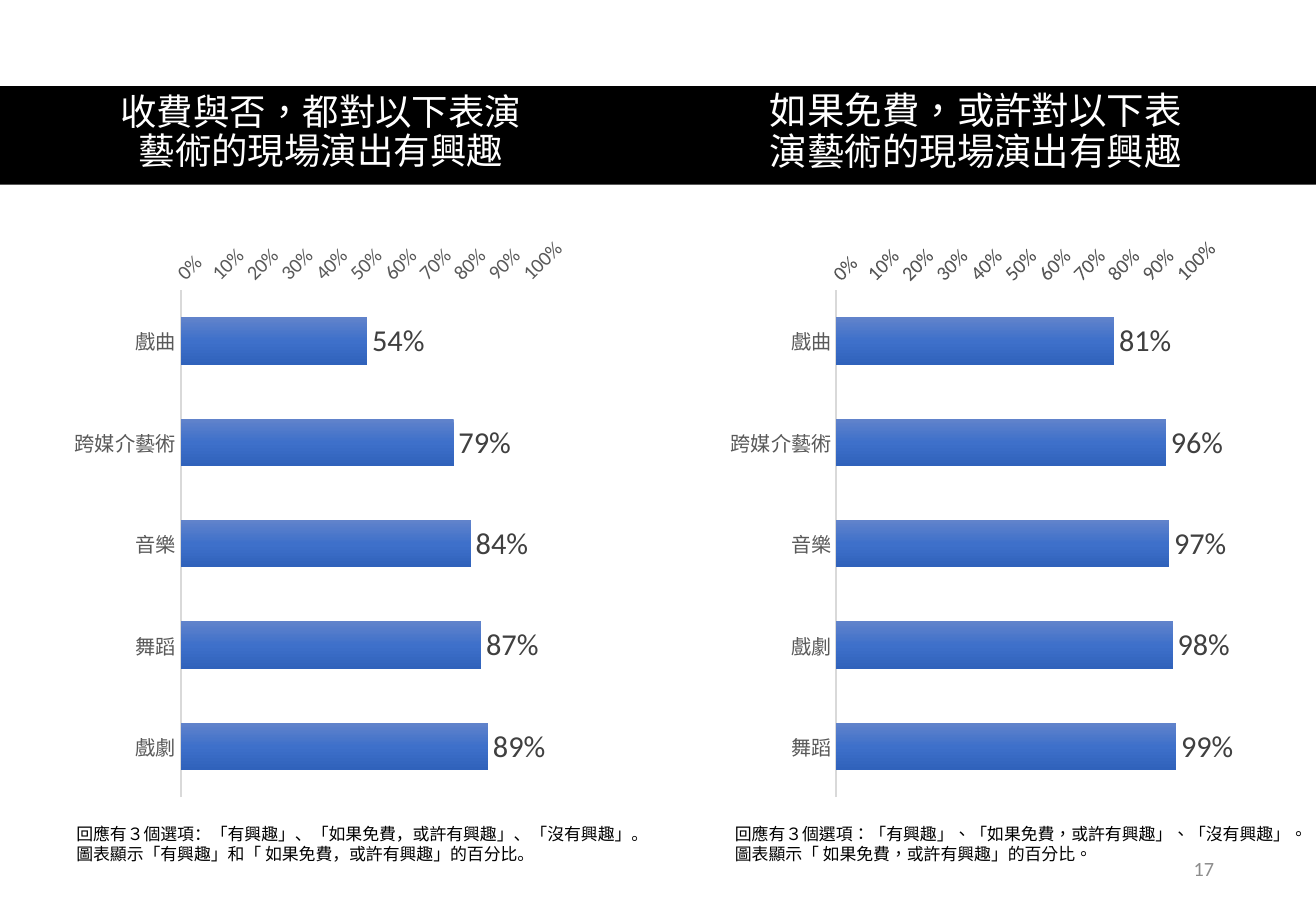
from copy import deepcopy

from lxml import etree
from pptx import Presentation
from pptx.chart.data import CategoryChartData
from pptx.dml.color import RGBColor
from pptx.enum.chart import XL_CHART_TYPE as ChartType
from pptx.enum.chart import XL_LABEL_POSITION as LabelPosition
from pptx.enum.chart import XL_TICK_MARK as TickMark
from pptx.enum.lang import MSO_LANGUAGE_ID as Language
from pptx.enum.shapes import MSO_SHAPE as Shape
from pptx.enum.text import MSO_ANCHOR as Anchor
from pptx.enum.text import PP_ALIGN as Align
from pptx.oxml.ns import qn
from pptx.util import Inches, Pt

BLACK = RGBColor(0x00, 0x00, 0x00)
WHITE = RGBColor(0xFF, 0xFF, 0xFF)
AXIS_TEXT = RGBColor(0x59, 0x59, 0x59)
AXIS_LINE = RGBColor(0xD9, 0xD9, 0xD9)
VALUE_TEXT = RGBColor(0x40, 0x40, 0x40)
NUMBER_GRAY = RGBColor(0x8C, 0x8C, 0x8C)
BAR_STOPS = [
    (0, RGBColor(0x61, 0x83, 0xCB)),
    (0.5, RGBColor(0x3E, 0x70, 0xCA)),
    (1, RGBColor(0x30, 0x62, 0xBB)),
]


def style_font(font, size, color, name="Calibri"):
    font.size = Pt(size)
    font.name = name
    font.color.rgb = color


def add_text(lines, left, top, width, height, size, color=BLACK, name="Calibri",
             align=Align.LEFT, anchor=Anchor.TOP, wrap=True, spacing=None,
             language=Language.TRADITIONAL_CHINESE):
    box = slide.shapes.add_textbox(Inches(left), Inches(top), Inches(width), Inches(height))
    frame = box.text_frame
    frame.word_wrap = wrap
    frame.vertical_anchor = anchor
    frame.text = "\n".join(lines)
    for paragraph in frame.paragraphs:
        paragraph.alignment = align
        paragraph.line_spacing = spacing
        for run in paragraph.runs:
            style_font(run.font, size, color, name)
            run.font.language_id = language
            if name.startswith("Noto"):
                etree.SubElement(run.font._element, qn("a:ea")).set("typeface", name)


presentation = Presentation()
presentation.slide_width = Inches(10.83)
presentation.slide_height = Inches(7.5)
slide = presentation.slides.add_slide(presentation.slide_layouts[6])

# Title band
band = slide.shapes.add_shape(Shape.RECTANGLE, 0, Inches(0.71), Inches(10.83), Inches(0.81))
band.shadow.inherit = False
band.fill.solid()
band.fill.fore_color.rgb = BLACK
band.line.fill.background()

# Headings
for heading, left, size in [
    ("收費與否，都對以下表演藝術的現場演出有興趣", 0.78, 21.6),
    ("如果免費，或許對以下表演藝術的現場演出有興趣", 6.17, 22.2),
]:
    add_text([heading], left, 0.69, 3.72, 0.81, size, WHITE, "Lato",
             Align.CENTER, Anchor.MIDDLE, spacing=0.9)

# Bar charts
for left, categories, values in [
    (0.53, ["戲曲", "跨媒介藝術", "音樂", "舞蹈", "戲劇"], [0.54, 0.79, 0.84, 0.87, 0.89]),
    (5.93, ["戲曲", "跨媒介藝術", "音樂", "戲劇", "舞蹈"], [0.81, 0.96, 0.97, 0.98, 0.99]),
]:
    data = CategoryChartData(number_format="0%")
    data.categories = categories
    data.add_series("Series 1", values)
    chart = slide.shapes.add_chart(ChartType.BAR_CLUSTERED, Inches(left), Inches(1.85),
                                   Inches(4.22), Inches(4.81), data).chart
    chart.has_legend = False
    chart.has_title = False
    style_font(chart.font, 10, BLACK)

    # Axes
    for axis in (chart.category_axis, chart.value_axis):
        axis.major_tick_mark = axis.minor_tick_mark = TickMark.NONE
        axis.has_major_gridlines = False
        style_font(axis.tick_labels.font, 12, AXIS_TEXT)
    chart.category_axis.reverse_order = True
    chart.category_axis.format.line.color.rgb = AXIS_LINE
    chart.category_axis.format.line.width = Pt(1)
    value_axis = chart.value_axis
    value_axis.minimum_scale = 0
    value_axis.maximum_scale = 1
    value_axis.major_unit = 0.1
    value_axis.format.line.fill.background()
    value_axis.tick_labels.number_format = "0%"
    value_axis.tick_labels.number_format_is_linked = False
    value_axis._element.find(qn("c:txPr")).find(qn("a:bodyPr")).set("rot", "-2700000")

    # Bars with a three-stop gradient
    plot = chart.plots[0]
    plot.vary_by_categories = False
    plot.gap_width = 115
    plot.overlap = -20
    series = plot.series[0]
    fill = series.format.fill
    fill.gradient()
    fill.gradient_angle = 270
    stop_list = next(series._element.iter(qn("a:gsLst")))
    stop_list.append(deepcopy(stop_list[-1]))
    for stop, (position, color) in zip(fill.gradient_stops, BAR_STOPS):
        stop.position = position
        stop.color.rgb = color

    # Value labels
    labels = series.data_labels
    labels.show_value = True
    labels.number_format = "0%"
    labels.number_format_is_linked = False
    labels.position = LabelPosition.OUTSIDE_END
    style_font(labels.font, 18, VALUE_TEXT)

# Slide number
add_text(["17"], 7.65, 6.95, 2.44, 0.4, 12, NUMBER_GRAY, align=Align.RIGHT, anchor=Anchor.MIDDLE)

# Notes under the charts
OPTIONS = "回應有３個選項：「有興趣」、「如果免費，或許有興趣」、「沒有興趣」。"
for left, shown, language in [
    (0.53, "圖表顯示「有興趣」和「 如果免費，或許有興趣」的百分比。", Language.SIMPLIFIED_CHINESE),
    (5.95, "圖表顯示「 如果免費，或許有興趣」的百分比。", Language.TRADITIONAL_CHINESE),
]:
    add_text([OPTIONS, shown], left, 6.73, 4.97, 0.44, 10, name="Noto Sans CJK SC",
             wrap=False, language=language)

presentation.save("out.pptx")
